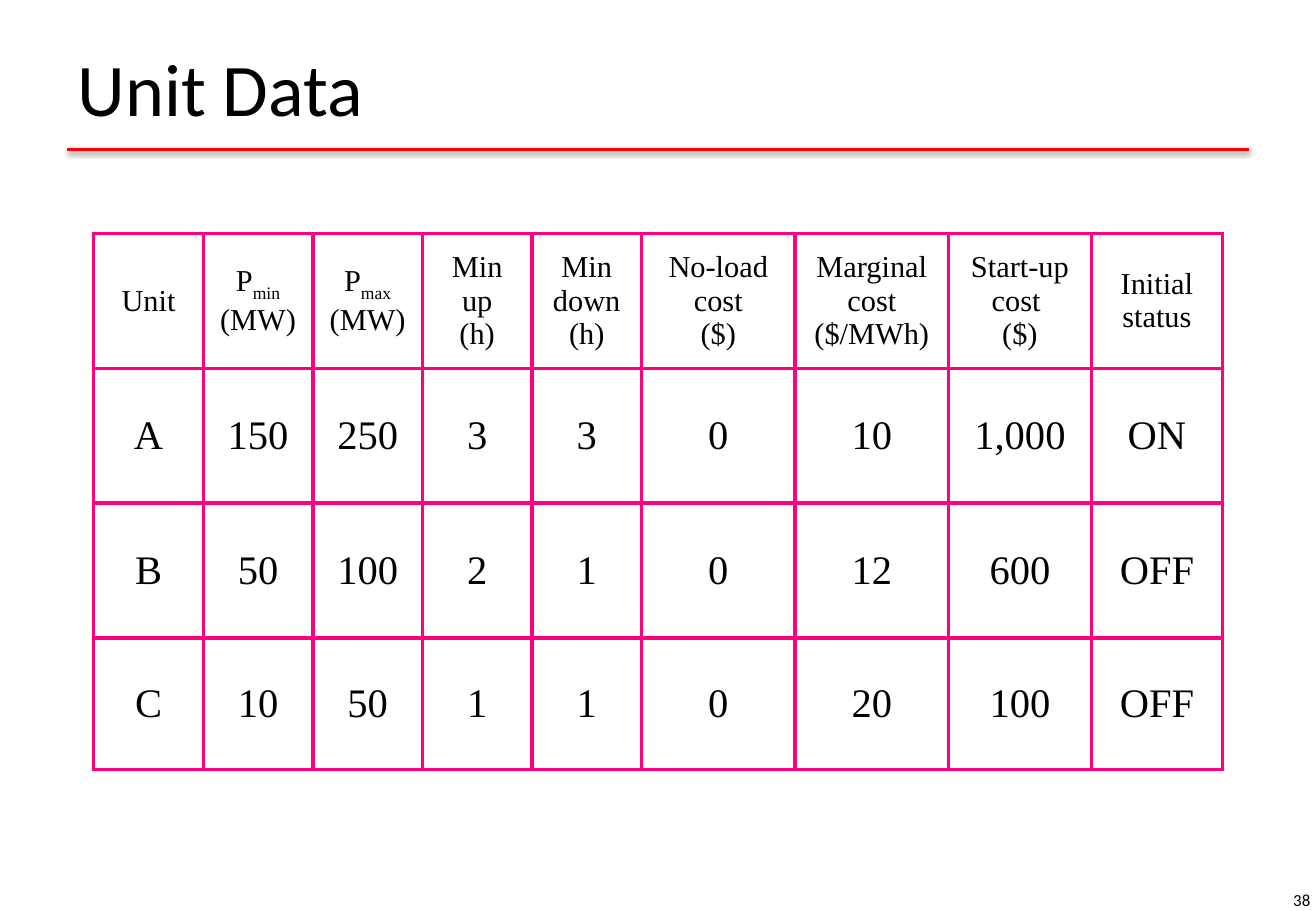
from lxml.etree import SubElement as Sub
from pptx import Presentation
from pptx.dml.color import RGBColor as Rgb
from pptx.enum.shapes import MSO_CONNECTOR as Link
from pptx.enum.text import MSO_ANCHOR as Anchor, PP_ALIGN as Align
from pptx.oxml.ns import qn
from pptx.util import Cm, Pt

INK = {"text": "000000", "rule": "FF0000", "grid": "FF0080"}
SANS, SERIF = "Calibri", "Times New Roman"
COLS = [2.29] * 5 + [3.21, 3.21, 2.98, 2.75]
ROWS = [2.82] * 3 + [2.75]
HEAD = [
    [["Unit"]],
    [["P", "min"], ["(MW)"]],
    [["P", "max"], ["(MW)"]],
    [["Min up"], ["(h)"]],
    [["Min down"], ["(h)"]],
    [["No-load cost"], ["($)"]],
    [["Marginal cost"], ["($/MWh)"]],
    [["Start-up cost "], ["($)"]],
    [["Initial status"]],
]
UNITS = [
    ["A", "150", "250", "3", "3", "0", "10", "1,000", "ON"],
    ["B", "50", "100", "2", "1", "0", "12", "600", "OFF"],
    ["C", "10", "50", "1", "1", "0", "20", "100", "OFF"],
]


def write(frame, lines, size, face, align):
    """Write lines of runs; the second run of a line is a subscript."""
    frame.word_wrap = True
    frame.vertical_anchor = Anchor.MIDDLE
    for i, line in enumerate(lines):
        para = frame.add_paragraph() if i else frame.paragraphs[0]
        para.alignment = align
        for j, text in enumerate(line):
            run = para.add_run()
            run.text = text
            run.font.size = Pt(size)
            run.font.name = face
            run.font.color.rgb = Rgb.from_string(INK["text"])
            if j:
                run._r.get_or_add_rPr().set("baseline", "-25000")


def tint(node, color):
    """Add an sRGB colour to an XML node."""
    return Sub(node, qn("a:srgbClr"), val=INK[color])


def title(slide, text):
    """Place and fill the title."""
    shape = slide.shapes.title
    shape.left, shape.top = Cm(1.37), Cm(0.33)
    shape.width, shape.height = Cm(24.77), Cm(2.97)
    write(shape.text_frame, [[text]], 44, SANS, Align.LEFT)


def rule(slide):
    """Draw the shadowed rule under the title."""
    line = slide.shapes.add_connector(
        Link.STRAIGHT, Cm(1.4), Cm(3.12), Cm(26.11), Cm(3.12))
    line.line.color.rgb = Rgb.from_string(INK["rule"])
    line.line.width = Pt(2)
    glow = Sub(line._element.spPr, qn("a:effectLst"))
    shade = Sub(glow, qn("a:outerShdw"), blurRad=str(Pt(3.1)),
                dist=str(Pt(1.6)), dir="5400000", rotWithShape="0")
    Sub(tint(shade, "text"), qn("a:alpha"), val="38000")


def edge(cell):
    """Draw the four borders of a cell and clear its fill."""
    props = cell._tc.get_or_add_tcPr()
    for side in "LRTB":
        line = Sub(props, qn(f"a:ln{side}"), w=str(Pt(2.25)))
        tint(Sub(line, qn("a:solidFill")), "grid")
    cell.fill.background()


def grid(slide):
    """Build the table of unit data."""
    table = slide.shapes.add_table(
        len(ROWS), len(COLS), Cm(1.96), Cm(4.88),
        Cm(sum(COLS)), Cm(sum(ROWS))).table
    table.first_row = table.horz_banding = False
    for col, width in zip(table.columns, COLS):
        col.width = Cm(width)
    for row, height in zip(table.rows, ROWS):
        row.height = Cm(height)
    body = [[[[text]] for text in unit] for unit in UNITS]
    for r, row in enumerate([HEAD] + body):
        for c, lines in enumerate(row):
            cell = table.cell(r, c)
            edge(cell)
            write(cell.text_frame, lines, 24 if r else 18, SERIF, Align.CENTER)
            cell.vertical_anchor = Anchor.MIDDLE


def number(slide, text):
    """Add the page number."""
    box = slide.shapes.add_textbox(Cm(21.21), Cm(18.31), Cm(6.43), Cm(1.02))
    write(box.text_frame, [[text]], 10, SANS, Align.RIGHT)


def main():
    """Build and save the slide."""
    deck = Presentation()
    deck.slide_width, deck.slide_height = Cm(27.51), Cm(19.05)
    slide = deck.slides.add_slide(deck.slide_layouts[5])
    rule(slide)
    title(slide, "Unit Data")
    number(slide, "38")
    grid(slide)
    deck.save("out.pptx")


if __name__ == "__main__":
    main()
